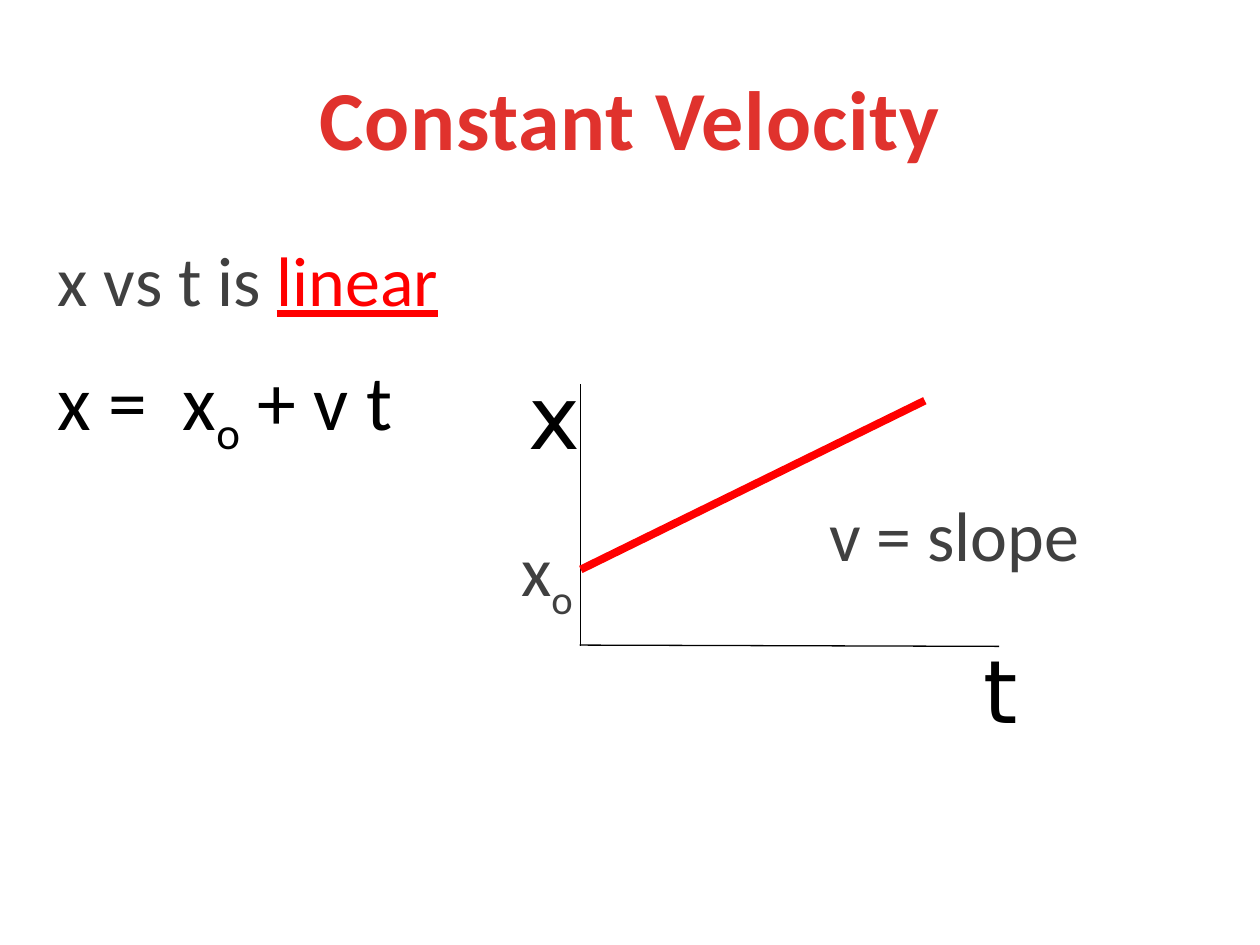
from pptx import Presentation
from pptx.dml.color import RGBColor
from pptx.enum.shapes import MSO_CONNECTOR
from pptx.enum.text import MSO_ANCHOR, MSO_AUTO_SIZE, PP_ALIGN
from pptx.oxml.ns import qn
from pptx.util import Inches, Pt
from lxml.etree import SubElement

BLACK, GRAY, RED, TITLE_RED = "000000", "404040", "FF0000", "E0322D"
SUB = {"baseline": -25000}


def rgb(value):
    return RGBColor.from_string(value)


class SlideBuilder:
    font = "Calibri"
    size = 40
    color = GRAY

    def __init__(self, prs):
        self.s = prs.slides.add_slide(prs.slide_layouts[6])

    def text(self, box, runs, size=None, color=None, font=None, space=None,
             align=PP_ALIGN.LEFT, **frame):
        """Add one paragraph; runs are (text, run format) pairs."""
        size = size or self.size
        tf = self.s.shapes.add_textbox(*map(Inches, box)).text_frame
        for name, value in {"word_wrap": True, **frame}.items():
            setattr(tf, name, value)
        p = tf.paragraphs[0]
        p.alignment = align
        p.space_before = Pt(0.2 * size if space is None else space)
        for words, extra in runs:
            fmt = {"name": font or self.font, "size": Pt(size), **extra}
            run_color = fmt.pop("color", color or self.color)
            attributes = {k: fmt.pop(k) for k in ("baseline", "spc") if k in fmt}
            r = p.add_run()
            r.text = words
            r.font.color.rgb = rgb(run_color)
            for name, value in fmt.items():
                setattr(r.font, name, value)
            for name, value in attributes.items():
                r.font._element.set(name, str(value))

    def line(self, start, end, color=BLACK, width=0.75):
        c = self.s.shapes.add_connector(
            MSO_CONNECTOR.STRAIGHT, *map(Inches, start + end))
        c.line.color.rgb = rgb(color)
        c.line.width = Pt(width)
        SubElement(c._element.spPr, qn("a:effectLst"))

    def axis_label(self, left, top, letter):
        self.text((left, top, 0.44, 0.71), [(letter, {})], size=50, color=BLACK,
                  font="DejaVu Sans", space=11.2,
                  auto_size=MSO_AUTO_SIZE.SHAPE_TO_FIT_TEXT)


def main():
    prs = Presentation()
    prs.slide_width, prs.slide_height = Inches(10), Inches(7.5)
    slide = SlideBuilder(prs)

    slide.text((0.5, 0.3, 9, 1.25),
               [("Constant Velocity", {"bold": True, "spc": 50})],
               size=48, color=TITLE_RED, space=0, align=PP_ALIGN.CENTER,
               vertical_anchor=MSO_ANCHOR.MIDDLE)
    slide.text((0.36, 1.83, 6.58, 0.78),
               [("x vs t is ", {}), ("linear", {"color": RED, "underline": True})])
    slide.text((0.36, 2.75, 6.58, 0.78),
               [("x =  x", {}), ("o", SUB), (" + v t", {})],
               size=44.4, color=BLACK)

    slide.line((4.61, 3.05), (4.61, 5.13))
    slide.line((4.6, 5.12), (7.93, 5.13))
    slide.line((7.34, 3.18), (4.61, 4.52), RED, 4.5)
    slide.axis_label(4.1, 2.82, "x")
    slide.axis_label(7.71, 5, "t")
    slide.text((3.88, 4.13, 0.92, 0.78), [("x", {}), ("o", SUB)],
               align=PP_ALIGN.CENTER)
    slide.text((5.93, 3.85, 3.29, 0.78), [("v = slope", {})],
               align=PP_ALIGN.CENTER)

    prs.save("out.pptx")


if __name__ == "__main__":
    main()
